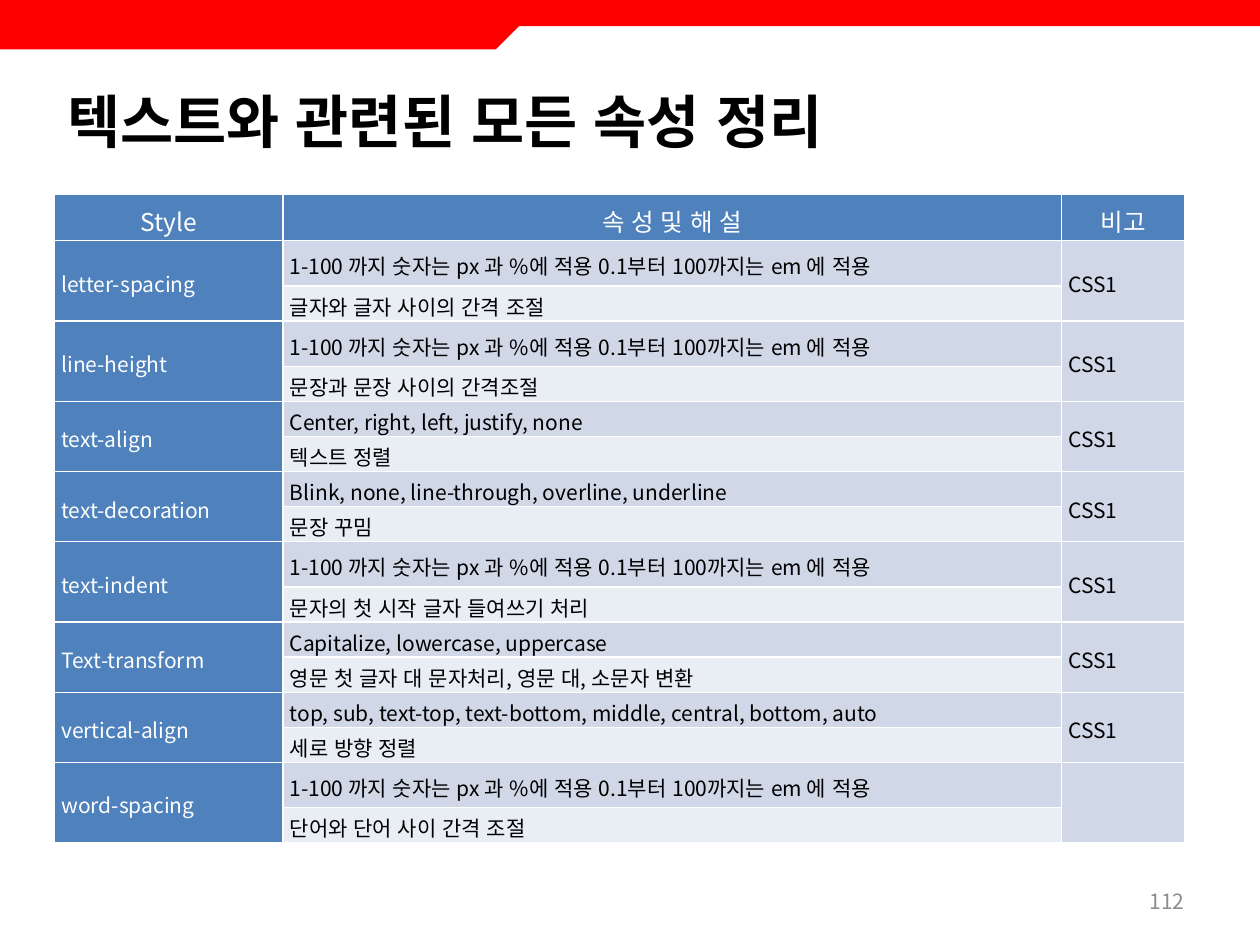
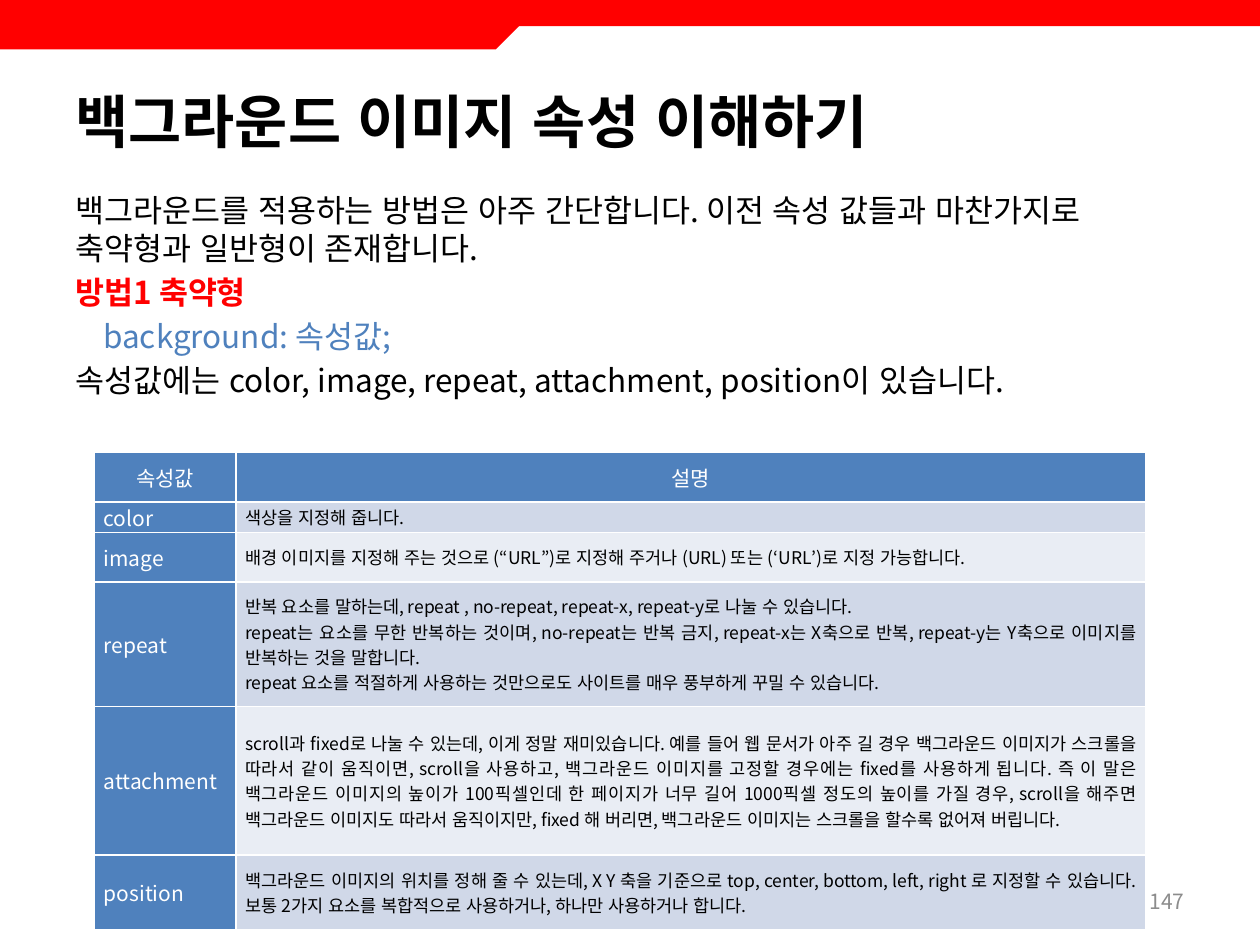
from pptx import Presentation
from pptx.dml.color import RGBColor
from pptx.enum import lang, shapes, text
from pptx.oxml.ns import qn
from pptx.util import Pt
from lxml import etree

# ---- Content ----
LENGTHS = "1-100 까지 숫자는 px 과 %에 적용 0.1부터 100까지는 em 에 적용"

TEXT_TITLE, TEXT_PAGE = "텍스트와 관련된 모든 속성 정리", "112"
TEXT_HEADER = ["Style", "속 성 및 해 설", "비고"]
TEXT_STYLES = [  # style, values, meaning, note
    ("letter-spacing", LENGTHS, "글자와 글자 사이의 간격 조절", "CSS1"),
    ("line-height", LENGTHS, "문장과 문장 사이의 간격조절", "CSS1"),
    ("text-align", "Center, right, left, justify, none", "텍스트 정렬", "CSS1"),
    ("text-decoration", "Blink, none, line-through, overline, underline", "문장 꾸밈", "CSS1"),
    ("text-indent", LENGTHS, "문자의 첫 시작 글자 들여쓰기 처리", "CSS1"),
    ("Text-transform", "Capitalize, lowercase, uppercase",
     "영문 첫 글자 대 문자처리, 영문 대, 소문자 변환", "CSS1"),
    ("vertical-align", "top, sub, text-top, text-bottom, middle, central, bottom, auto",
     "세로 방향 정렬", "CSS1"),
    ("word-spacing", LENGTHS, "단어와 단어 사이 간격 조절", ""),
]

IMAGE_TITLE, IMAGE_PAGE = "백그라운드 이미지 속성 이해하기", "147"
IMAGE_INTRO = [  # text, format
    ("백그라운드를 적용하는 방법은 아주 간단합니다. 이전 속성 값들과 마찬가지로 "
     "축약형과 일반형이 존재합니다.", {}),
    ("방법1 축약형", dict(color="FF0000", bold=True)),
    ("background: 속성값;", dict(color="4F81BD", indent=16)),
    ("속성값에는 color, image, repeat, attachment, position이 있습니다.", {}),
]
IMAGE_HEADER = ["속성값", "설명"]
IMAGE_VALUES = [  # value, paragraphs, row height
    ("color", ["색상을 지정해 줍니다."], 17.4),
    ("image", ["배경 이미지를 지정해 주는 것으로 (“URL”)로 지정해 주거나 (URL) 또는 "
               "(‘URL’)로 지정 가능합니다."], 28.3),
    ("repeat", [
        "반복 요소를 말하는데, repeat , no-repeat, repeat-x, repeat-y로 나눌 수 있습니다.",
        "repeat는 요소를 무한 반복하는 것이며, no-repeat는 반복 금지, repeat-x는 X축으로 반복, "
        "repeat-y는 Y축으로 이미지를 반복하는 것을 말합니다.",
        "repeat 요소를 적절하게 사용하는 것만으로도 사이트를 매우 풍부하게 꾸밀 수 있습니다."], 71),
    ("attachment", [
        "scroll과 fixed로 나눌 수 있는데, 이게 정말 재미있습니다. 예를 들어 웹 문서가 아주 길 경우 "
        "백그라운드 이미지가 스크롤을 따라서 같이 움직이면, scroll을 사용하고, 백그라운드 이미지를 "
        "고정할 경우에는 fixed를 사용하게 됩니다. 즉 이 말은 백그라운드 이미지의 높이가 100픽셀인데 "
        "한 페이지가 너무 길어 1000픽셀 정도의 높이를 가질 경우, scroll을 해주면 백그라운드 이미지도 "
        "따라서 움직이지만, fixed 해 버리면, 백그라운드 이미지는 스크롤을 할수록 없어져 버립니다."], 85),
    ("position", [
        "백그라운드 이미지의 위치를 정해 줄 수 있는데, X Y 축을 기준으로 top, center, bottom, left, "
        "right 로 지정할 수 있습니다. 보통 2가지 요소를 복합적으로 사용하거나, "
        "하나만 사용하거나 합니다."], 42.5),
]

# ---- Shared look ----
FONT = "Noto Sans CJK KR"
RED, BLUE, WHITE, BLACK, GREY = "FF0000", "4F81BD", "FFFFFF", "000000", "8C8C8C"
BANDS = ["D0D8E8", "E9EDF4"]
LEFT, CENTER, RIGHT, JUSTIFY = (text.PP_ALIGN.LEFT, text.PP_ALIGN.CENTER,
                                text.PP_ALIGN.RIGHT, text.PP_ALIGN.JUSTIFY)
MIDDLE = text.MSO_ANCHOR.MIDDLE


def rgb(color):
    return RGBColor.from_string(color)


def write(p, words, size=12, color=BLACK, bold=False, align=LEFT, spacing=1.0,
          before=0, indent=0):
    p.alignment, p.line_spacing, p.space_before = align, spacing, Pt(before)
    if indent:
        p._p.get_or_add_pPr().set("marL", str(Pt(indent)))
    r = p.add_run()
    r.text = words
    r.font.size, r.font.bold, r.font.name = Pt(size), bold, FONT
    r.font.language_id = lang.MSO_LANGUAGE_ID.KOREAN
    r.font.color.rgb = rgb(color)
    etree.SubElement(r._r.get_or_add_rPr(), qn("a:ea"), typeface=FONT)


def paragraph(tf, i):
    return tf.add_paragraph() if i else tf.paragraphs[0]


def text_box(s, left, top, width, height):
    tf = s.shapes.add_textbox(Pt(left), Pt(top), Pt(width), Pt(height)).text_frame
    tf.word_wrap = True
    return tf


def band(s, shape, width, height):
    sp = s.shapes.add_shape(shape, 0, 0, Pt(width), Pt(height))
    sp.shadow.inherit = False
    sp.fill.solid()
    sp.fill.fore_color.rgb = rgb(RED)
    sp.line.fill.background()
    return sp


def new_slide(prs, title, left, page):
    s = prs.slides.add_slide(prs.slide_layouts[5])
    # Red bands
    band(s, shapes.MSO_SHAPE.RECTANGLE, 720, 15)
    tab = band(s, shapes.MSO_SHAPE.SNIP_1_RECTANGLE, 297.4, 28.3)
    tab.adjustments[0] = 0.5
    tab._element.spPr.get_or_add_xfrm().set("flipV", "1")
    # Title
    sp = s.shapes.title
    sp.left, sp.top, sp.width, sp.height = Pt(left), Pt(43.2), Pt(648), Pt(51)
    tf = sp.text_frame
    tf.vertical_anchor, tf.auto_size = MIDDLE, text.MSO_AUTO_SIZE.NONE
    write(tf.paragraphs[0], title, size=33, bold=True)
    # Page number
    tf = text_box(s, 516, 500.4, 168, 28.8)
    tf.vertical_anchor = MIDDLE
    write(tf.paragraphs[0], page, color=GREY, align=RIGHT)
    return s


def new_table(s, left, top, widths, heights):
    t = s.shapes.add_table(len(heights), len(widths), Pt(left), Pt(top),
                           Pt(sum(widths)), Pt(sum(heights))).table
    for column, width in zip(t.columns, widths):
        column.width = Pt(width)
    for row, height in zip(t.rows, heights):
        row.height = Pt(height)
    return t


def fill_cell(cell, lines, fill, inset, **fmt):
    cell.margin_left = cell.margin_right = Pt(inset)
    cell.margin_top = cell.margin_bottom = 0
    cell.vertical_anchor = MIDDLE
    tcPr = cell._tc.get_or_add_tcPr()
    for side in "LRTB":
        ln = etree.SubElement(tcPr, qn("a:ln" + side), w=str(Pt(1)))
        etree.SubElement(etree.SubElement(ln, qn("a:solidFill")), qn("a:srgbClr"), val=WHITE)
    cell.fill.solid()
    cell.fill.fore_color.rgb = rgb(fill)
    for i, line in enumerate(lines):
        write(paragraph(cell.text_frame, i), line, **fmt)


def fill_header(t, names, **fmt):
    for c, name in enumerate(names):
        fill_cell(t.cell(0, c), [name], BLUE, color=WHITE, align=CENTER, **fmt)


def text_styles_slide(prs):
    s = new_slide(prs, TEXT_TITLE, 31.2, TEXT_PAGE)
    heights = [26.3]
    for _, values, _, _ in TEXT_STYLES:
        heights += [25.9 if values == LENGTHS else 20.05, 20.05]
    t = new_table(s, 31.2, 111.3, [130.5, 445, 70.5], heights)
    fmt = dict(inset=3.9, spacing=1.15)
    fill_header(t, TEXT_HEADER, size=14, **fmt)
    for i, (style, values, meaning, note) in enumerate(TEXT_STYLES):
        r = 1 + 2 * i
        for c in (0, 2):
            t.cell(r, c).merge(t.cell(r + 1, c))
        fill_cell(t.cell(r, 0), [style], BLUE, color=WHITE, **fmt)
        fill_cell(t.cell(r, 2), [note] if note else [], BANDS[0], **fmt)
        for k, words in enumerate((values, meaning)):
            fill_cell(t.cell(r + k, 1), [words], BANDS[k], align=JUSTIFY, **fmt)


def image_values_slide(prs):
    s = new_slide(prs, IMAGE_TITLE, 36, IMAGE_PAGE)
    # Introduction
    tf = text_box(s, 36, 105.8, 648, 130)
    for i, (words, fmt) in enumerate(IMAGE_INTRO):
        write(paragraph(tf, i), words, size=18, before=3.6 if i else 0, **fmt)
    # Table of values
    t = new_table(s, 54, 258.7, [80.75, 520], [28.3] + [row[2] for row in IMAGE_VALUES])
    fill_header(t, IMAGE_HEADER, inset=5.3)
    for r, (value, lines, _) in enumerate(IMAGE_VALUES, 1):
        fill_cell(t.cell(r, 0), [value], BLUE, 5.3, color=WHITE, align=JUSTIFY)
        fill_cell(t.cell(r, 1), lines, BANDS[(r - 1) % 2], 5.3, size=10, align=JUSTIFY)


def main():
    prs = Presentation()
    prs.slide_width, prs.slide_height = Pt(720), Pt(540)
    text_styles_slide(prs)
    image_values_slide(prs)
    prs.save("out.pptx")


if __name__ == "__main__":
    main()
